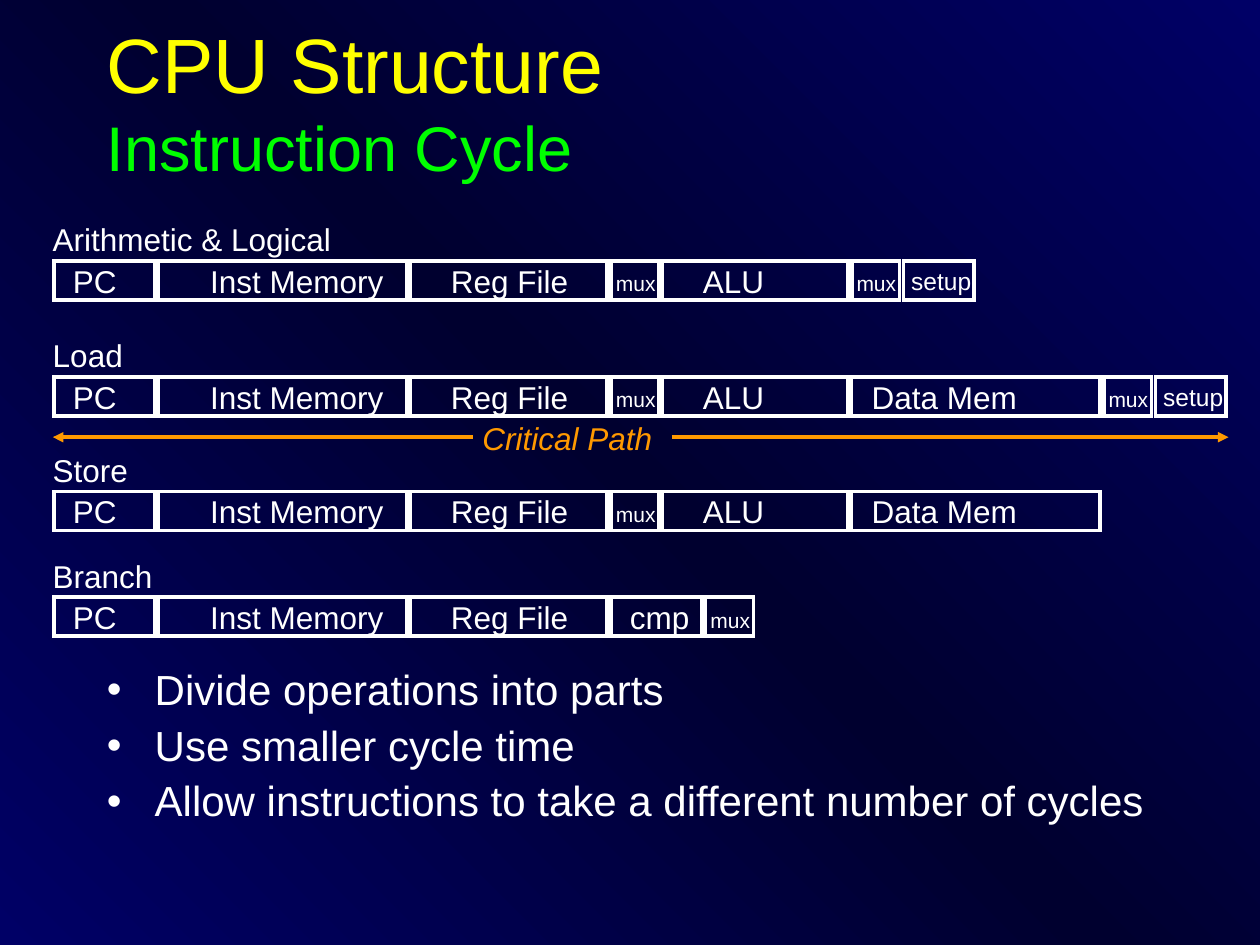
from copy import deepcopy
from dataclasses import dataclass

from lxml.etree import SubElement
from pptx import Presentation
from pptx.dml.color import RGBColor
from pptx.enum.shapes import MSO_CONNECTOR, MSO_SHAPE
from pptx.enum.text import MSO_ANCHOR, MSO_AUTO_SIZE, PP_ALIGN
from pptx.oxml.ns import qn
from pptx.util import Inches, Pt

TITLE = "CPU Structure"
SUBTITLE = "Instruction Cycle"
POINTS = [
    "Divide operations into parts",
    "Use smaller cycle time",
    "Allow instructions to take a different number of cycles",
]
CRITICAL_PATH = "Critical Path"

# instruction class, top of its row, stages in order
CYCLES = [
    ("Arithmetic & Logical", 2.07, ["PC", "Inst Memory", "Reg File", "mux", "ALU", "mux", "setup"]),
    ("Load", 2.99, ["PC", "Inst Memory", "Reg File", "mux", "ALU", "Data Mem", "mux", "setup"]),
    ("Store", 3.9, ["PC", "Inst Memory", "Reg File", "mux", "ALU", "Data Mem"]),
    ("Branch", 4.74, ["PC", "Inst Memory", "Reg File", "cmp", "mux"]),
]
# stage: time it takes (inches along the row), label offset, label width
STAGES = {
    "PC": (0.83, 0.05, 0.56),
    "Inst Memory": (2.0, 0.31, 1.59),
    "Reg File": (1.59, 0.22, 1.14),
    "mux": (0.41, -0.06, 0.53),
    "ALU": (1.5, 0.22, 0.7),
    "Data Mem": (2.0, 0.06, 1.36),
    "cmp": (0.75, 0.05, 0.68),
    "setup": (0.59, -0.04, 0.68),
}
ROW_LEFT, ROW_HEIGHT, GAP = 0.43, 0.31, 0.03
ARROW_Y = 3.47
ARROWS = [(5.33, 9.75), (3.75, 0.42)]  # start and pointed end


@dataclass(frozen=True)
class Theme:
    font: str = "Arial"
    text: RGBColor = RGBColor(0xFF, 0xFF, 0xFF)
    title: RGBColor = RGBColor(0xFF, 0xFF, 0x00)
    subtitle: RGBColor = RGBColor(0x00, 0xFF, 0x00)
    critical: RGBColor = RGBColor(0xFF, 0x99, 0x00)
    edge: RGBColor = RGBColor(0x00, 0x00, 0x66)
    middle: RGBColor = RGBColor(0x00, 0x00, 0x2F)
    title_size: int = 44
    subtitle_size: int = 36
    point_size: int = 24
    label_size: int = 18
    setup_size: int = 14
    mux_size: int = 12
    line: int = 2


THEME = Theme()
# sizes of the stage labels that must shrink, with their drop from the row top
SMALL_LABELS = {"mux": (THEME.mux_size, 0.03), "setup": (THEME.setup_size, -0.01)}


def style(font, size, color):
    font.name, font.size = THEME.font, Pt(size)
    font.color.rgb = color


def add_box(slide, left, top, width, height):
    return slide.shapes.add_textbox(*map(Inches, (left, top, width, height))).text_frame


def add_label(slide, text, left, top, width, size=THEME.label_size, color=THEME.text):
    """Add a one-line text that does not wrap and return its paragraph."""
    frame = add_box(slide, left, top, width, round(size * 1.2 / 72 + 0.1, 2))
    frame.word_wrap = False
    frame.auto_size = MSO_AUTO_SIZE.SHAPE_TO_FIT_TEXT
    paragraph = frame.paragraphs[0]
    paragraph.text = text
    style(paragraph.font, size, color)
    return paragraph


def paint_background(slide):
    fill = slide.background.fill
    fill.gradient()
    fill.gradient_angle = 225
    stop_list = slide._element.find(".//" + qn("a:gsLst"))
    stop_list.append(deepcopy(stop_list[0]))
    colors = (THEME.edge, THEME.middle, THEME.edge)
    for stop, position, color in zip(fill.gradient_stops, (0, 0.5, 1), colors):
        stop.position = position
        stop.color.rgb = color


def add_title(slide):
    frame = add_box(slide, 0.75, 0.17, 8.5, 1.25)
    frame.word_wrap = True
    frame.vertical_anchor = MSO_ANCHOR.MIDDLE
    paragraph = frame.paragraphs[0]
    title = paragraph.add_run()
    title.text = TITLE
    style(title.font, THEME.title_size, THEME.title)
    paragraph.add_line_break()
    subtitle = paragraph.add_run()
    subtitle.text = SUBTITLE
    style(subtitle.font, THEME.subtitle_size, THEME.subtitle)


def add_points(slide):
    frame = add_box(slide, 0.75, 5.26, 8.5, 1.44)
    frame.word_wrap = True
    for index, point in enumerate(POINTS):
        paragraph = frame.add_paragraph() if index else frame.paragraphs[0]
        paragraph.text = point
        paragraph.line_spacing = 0.9
        if index:
            paragraph.space_before = Pt(6)
        properties = paragraph._p.get_or_add_pPr()
        properties.set("marL", str(Inches(0.38)))
        properties.set("indent", str(Inches(-0.38)))
        SubElement(properties, qn("a:buFont"), typeface=THEME.font)
        SubElement(properties, qn("a:buChar"), char="•")
        style(paragraph.font, THEME.point_size, THEME.text)


def add_stage(slide, stage, left, top):
    """Add one stage and return how far it moves the row on."""
    pitch, offset, label_width = STAGES[stage]
    box = slide.shapes.add_shape(
        MSO_SHAPE.RECTANGLE, *map(Inches, (left, top, pitch - GAP, ROW_HEIGHT)))
    box.shadow.inherit = False
    box.fill.background()
    box.line.color.rgb = THEME.text
    box.line.width = Pt(THEME.line)
    SubElement(box.line._get_or_add_ln(), qn("a:miter"), lim="800000")
    size, drop = SMALL_LABELS.get(stage, (THEME.label_size, -0.04))
    label = add_label(slide, stage, left + offset, top + drop, label_width, size)
    if stage == "setup":
        label.alignment = PP_ALIGN.CENTER
    return pitch


def add_cycle(slide, name, top, stages):
    add_label(slide, name, 0.32, top - 0.37, 2.41)
    left = ROW_LEFT
    for stage in stages:
        left += add_stage(slide, stage, left, top)


def add_critical_path(slide):
    label = add_label(slide, CRITICAL_PATH, 3.73, 3.28, 1.55, color=THEME.critical)
    label.font.italic = True
    for start, end in ARROWS:
        arrow = slide.shapes.add_connector(
            MSO_CONNECTOR.STRAIGHT, *map(Inches, (start, ARROW_Y, end, ARROW_Y)))
        arrow.line.color.rgb = THEME.critical
        arrow.line.width = Pt(THEME.line)
        SubElement(arrow.line._get_or_add_ln(), qn("a:tailEnd"), type="triangle")
        SubElement(arrow._element.spPr, qn("a:effectLst"))


def main():
    deck = Presentation()
    deck.slide_width, deck.slide_height = Inches(10), Inches(7.5)
    slide = deck.slides.add_slide(deck.slide_layouts[6])
    paint_background(slide)
    add_title(slide)
    add_points(slide)
    for cycle in CYCLES:
        add_cycle(slide, *cycle)
    add_critical_path(slide)
    deck.save("out.pptx")


if __name__ == "__main__":
    main()
